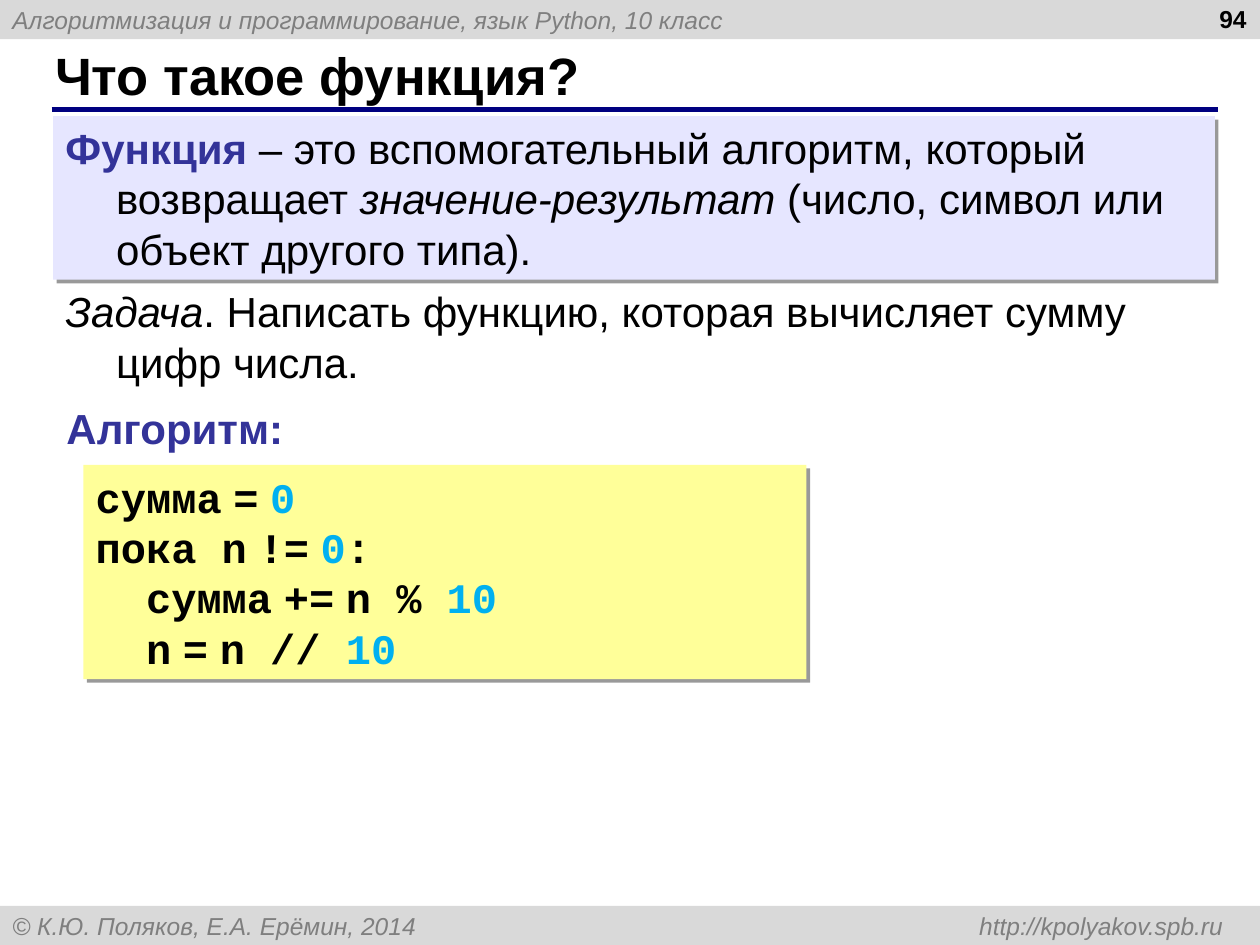
from lxml.etree import SubElement
from pptx import Presentation
from pptx.dml.color import RGBColor
from pptx.enum.shapes import MSO_CONNECTOR, MSO_SHAPE
from pptx.enum.text import MSO_ANCHOR, PP_ALIGN
from pptx.oxml.ns import qn
from pptx.util import Cm, Pt

BLACK = RGBColor(0x00, 0x00, 0x00)
GRAY_BAR = RGBColor(0xD9, 0xD9, 0xD9)
GRAY_TEXT = RGBColor(0x7F, 0x7F, 0x7F)
NAVY = RGBColor(0x00, 0x00, 0x80)
INDIGO = RGBColor(0x33, 0x33, 0x99)
LAVENDER = RGBColor(0xE6, 0xE6, 0xFF)
YELLOW = RGBColor(0xFF, 0xFF, 0x99)
CYAN = RGBColor(0x00, 0xB0, 0xF0)

SLIDE_WIDTH, SLIDE_HEIGHT, BAR_HEIGHT = 25.4, 19.05, 0.79
HANGING = 1.02


def add_run(paragraph, text, size=24, color=BLACK, bold=False, italic=False,
            name="Arial"):
    run = paragraph.add_run()
    run.text = text
    font = run.font
    font.name, font.size = name, Pt(size)
    font.bold, font.italic = bold, italic
    font.color.rgb = color


def add_text_box(slide, box, wrap=True, anchor=MSO_ANCHOR.TOP):
    frame = slide.shapes.add_textbox(*map(Cm, box)).text_frame
    frame.word_wrap = wrap
    frame.vertical_anchor = anchor
    return frame


def add_panel(slide, box, color, anchor=MSO_ANCHOR.MIDDLE):
    shape = slide.shapes.add_shape(MSO_SHAPE.RECTANGLE, *map(Cm, box))
    shape.shadow.inherit = False
    shape.fill.solid()
    shape.fill.fore_color.rgb = color
    shape.line.fill.background()
    shape.text_frame.word_wrap = True
    shape.text_frame.vertical_anchor = anchor
    shape.text_frame.paragraphs[0].alignment = PP_ALIGN.LEFT
    return shape


def add_hard_shadow(shape):
    effects = shape._element.spPr.find(qn("a:effectLst"))
    shadow = SubElement(effects, qn("a:outerShdw"), blurRad="0",
                        dist=str(Pt(3)), dir="2700000", algn="ctr",
                        rotWithShape="0")
    color = SubElement(shadow, qn("a:srgbClr"), val=str(BLACK))
    SubElement(color, qn("a:alpha"), val="40000")


def set_hanging_indent(paragraph):
    properties = paragraph._p.get_or_add_pPr()
    properties.set("marL", str(Cm(HANGING)))
    properties.set("indent", str(-Cm(HANGING)))


def add_bar(slide, box, text, right_tab=None):
    paragraph = add_panel(slide, box, GRAY_BAR).text_frame.paragraphs[0]
    if right_tab:
        tabs = SubElement(paragraph._p.get_or_add_pPr(), qn("a:tabLst"))
        SubElement(tabs, qn("a:tab"), pos=str(Cm(right_tab)), algn="r")
    add_run(paragraph, text, 14, GRAY_TEXT, italic=True)


def add_page_number(slide, box):
    paragraph = add_text_box(slide, box).paragraphs[0]
    paragraph.alignment = PP_ALIGN.RIGHT
    add_run(paragraph, "94", 14, bold=True)


def add_title(slide, box):
    left, top, width, height = box
    # Rule under the title
    rule_y = Cm(top + height + 0.05)
    rule = slide.shapes.add_connector(MSO_CONNECTOR.STRAIGHT, Cm(left + 0.18),
                                      rule_y, Cm(left + width + 0.43), rule_y)
    rule.line.color.rgb = NAVY
    rule.line.width = Pt(3)
    SubElement(rule._element.spPr, qn("a:effectLst"))
    # Title text
    frame = add_text_box(slide, box, anchor=MSO_ANCHOR.MIDDLE)
    add_run(frame.paragraphs[0], "Что такое функция?", 30, bold=True)


def add_definition(slide, box):
    panel = add_panel(slide, box, LAVENDER, MSO_ANCHOR.TOP)
    add_hard_shadow(panel)
    paragraph = panel.text_frame.paragraphs[0]
    set_hanging_indent(paragraph)
    add_run(paragraph, "Функция", color=INDIGO, bold=True)
    add_run(paragraph, " – это вспомогательный алгоритм, который возвращает ")
    add_run(paragraph, "значение-результат", italic=True)
    add_run(paragraph, " (число, символ или объект другого типа).")


def add_task(slide, box):
    paragraph = add_text_box(slide, box).paragraphs[0]
    set_hanging_indent(paragraph)
    add_run(paragraph, "Задача", italic=True)
    add_run(paragraph, ". Написать функцию, которая вычисляет сумму цифр числа.")


def add_subheading(slide, box):
    frame = add_text_box(slide, box, wrap=False)
    add_run(frame.paragraphs[0], "Алгоритм:", color=INDIGO, bold=True)


def add_code(slide, box):
    panel = add_panel(slide, box, YELLOW)
    add_hard_shadow(panel)
    # Narrow Arial spaces surround the operators; numbers are cyan
    lines = [
        ["сумма", " ", "=", " ", "0"],
        ["пока n", " ", "!=", " ", "0", ":"],
        ["  сумма", " ", "+=", " ", "n % ", "10"],
        ["  n", " ", "=", " ", "n // ", "10"],
    ]
    frame = panel.text_frame
    for index, line in enumerate(lines):
        paragraph = frame.add_paragraph() if index else frame.paragraphs[0]
        paragraph.alignment = PP_ALIGN.LEFT
        for part in line:
            add_run(paragraph, part, bold=True,
                    color=CYAN if part.isdigit() else BLACK,
                    name="Arial" if part == " " else "Courier New")


def main():
    presentation = Presentation()
    presentation.slide_width = Cm(SLIDE_WIDTH)
    presentation.slide_height = Cm(SLIDE_HEIGHT)
    slide = presentation.slides.add_slide(presentation.slide_layouts[6])

    # Header and footer
    add_bar(slide, (0, 0, SLIDE_WIDTH, BAR_HEIGHT),
            "Алгоритмизация и программирование, язык Python, 10 класс")
    add_bar(slide, (0, SLIDE_HEIGHT - BAR_HEIGHT, SLIDE_WIDTH, BAR_HEIGHT),
            "© К.Ю. Поляков, Е.А. Ерёмин, 2014 \thttp://kpolyakov.spb.ru",
            right_tab=24.41)

    # Content
    add_title(slide, (0.86, 0.84, 23.27, 1.32))
    add_page_number(slide, (19.46, -0.05, 5.92, 1.32))
    add_definition(slide, (1.07, 2.34, 23.42, 3.3))
    add_task(slide, (1.07, 5.64, 23.55, 2.29))
    add_subheading(slide, (1.09, 7.98, 4.88, 1.27))
    add_code(slide, (1.68, 9.37, 14.58, 4.32))

    presentation.save("out.pptx")


if __name__ == "__main__":
    main()
